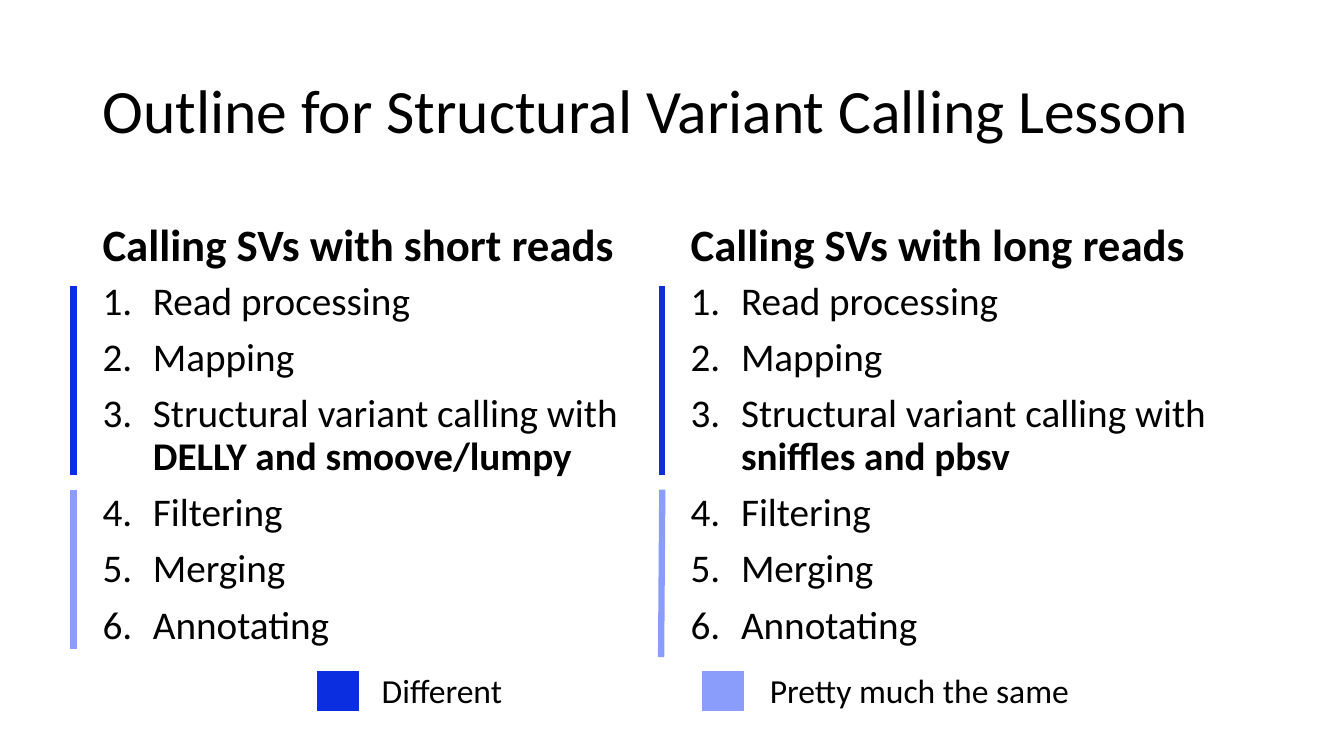
"""Build the outline slide comparing short-read and long-read variant calling."""
from dataclasses import dataclass

from lxml.etree import SubElement
from pptx import Presentation
from pptx.dml.color import RGBColor
from pptx.enum.shapes import MSO_CONNECTOR as CONN, MSO_SHAPE as SHAPE
from pptx.enum.text import MSO_ANCHOR as ANCHOR, MSO_AUTO_SIZE as FIT, PP_ALIGN as ALIGN
from pptx.oxml.ns import qn
from pptx.shapes.placeholder import SlidePlaceholder
from pptx.slide import Slide
from pptx.text.text import TextFrame, _Paragraph as Paragraph
from pptx.util import Cm, Pt

COLORS = {"text": "000000", "different": "0A2EE0", "same": "8A9DFA"}
FONT = "Calibri"
HEAD_TOP, HEAD_H = 4.67, 2.29
LIST_TOP, LIST_H = 6.96, 10.24
INDENT = 1.27
LEGEND_TOP = 16.76


@dataclass(frozen=True)
class Bar:
    color: str
    x1: float
    y1: float
    x2: float
    y2: float


@dataclass(frozen=True)
class Column:
    head_idx: int
    left: float
    width: float
    head: str
    tools: str


@dataclass(frozen=True)
class Key:
    color: str
    left: float
    text_left: float
    label: str


COLUMNS = [
    Column(1, 2.33, 14.33, "Calling SVs with short reads", "DELLY and smoove/lumpy"),
    Column(3, 17.15, 14.4, "Calling SVs with long reads", "sniffles and pbsv"),
]
BARS = [
    Bar("different", 1.85, 7.21, 1.85, 11.96),
    Bar("same", 1.85, 12.34, 1.85, 16.36),
    Bar("different", 16.69, 7.21, 16.69, 11.96),
    Bar("same", 16.69, 12.34, 16.66, 16.56),
]
KEYS = [
    Key("different", 8, 9.37, "Different"),
    Key("same", 17.7, 19.15, "Pretty much the same"),
]


def rgb(name: str) -> RGBColor:
    return RGBColor.from_string(COLORS[name])


def add_run(p: Paragraph, text: str, size: float, bold: bool = False) -> None:
    r = p.add_run()
    r.text = text
    r.font.name = FONT
    r.font.size = Pt(size)
    r.font.bold = bold
    r.font.color.rgb = rgb("text")


def place(sp: SlidePlaceholder, left: float, top: float, width: float, height: float,
          anchor: ANCHOR) -> TextFrame:
    sp.left, sp.top, sp.width, sp.height = Cm(left), Cm(top), Cm(width), Cm(height)
    tf = sp.text_frame
    tf.word_wrap = True
    tf.auto_size = FIT.NONE
    tf.vertical_anchor = anchor
    return tf


def format_paragraph(p: Paragraph, before: float) -> None:
    p.alignment = ALIGN.LEFT
    p.line_spacing = 0.9
    p.space_before = Pt(before)


def number(p: Paragraph) -> None:
    pPr = p._p.get_or_add_pPr()
    pPr.set("marL", str(Cm(INDENT)))
    pPr.set("indent", str(-Cm(INDENT)))
    SubElement(pPr, qn("a:buFont"), typeface="+mj-lt")
    SubElement(pPr, qn("a:buAutoNum"), type="arabicPeriod")


def add_title(s: Slide, text: str) -> None:
    p = place(s.shapes.title, 2.33, 1.02, 29.21, 3.68, ANCHOR.MIDDLE).paragraphs[0]
    format_paragraph(p, 0)
    add_run(p, text, 44)


def add_column(s: Slide, col: Column) -> None:
    holders = {sp.placeholder_format.idx: sp for sp in s.placeholders}
    tf = place(holders[col.head_idx], col.left, HEAD_TOP, col.width, HEAD_H, ANCHOR.BOTTOM)
    format_paragraph(tf.paragraphs[0], 10)
    add_run(tf.paragraphs[0], col.head, 32, True)

    tf = place(holders[col.head_idx + 1], col.left, LIST_TOP, col.width, LIST_H, ANCHOR.TOP)
    steps = [("Read processing", ""), ("Mapping", ""),
             ("Structural variant calling with ", col.tools),
             ("Filtering", ""), ("Merging", ""), ("Annotating", "")]
    for i, (step, tools) in enumerate(steps):
        p = tf.add_paragraph() if i else tf.paragraphs[0]
        format_paragraph(p, 10)
        number(p)
        add_run(p, step, 28)
        if tools:
            add_run(p, tools, 28, True)


def add_bar(s: Slide, bar: Bar) -> None:
    line = s.shapes.add_connector(CONN.STRAIGHT, Cm(bar.x1), Cm(bar.y1), Cm(bar.x2), Cm(bar.y2))
    line.line.color.rgb = rgb(bar.color)
    line.line.width = Pt(4.5)
    SubElement(line._element.spPr, qn("a:effectLst"))


def add_key(s: Slide, key: Key) -> None:
    sp = s.shapes.add_shape(SHAPE.RECTANGLE, Cm(key.left), Cm(16.92), Cm(1.04), Cm(0.99))
    sp.shadow.inherit = False
    sp.fill.solid()
    sp.fill.fore_color.rgb = rgb(key.color)
    sp.line.color.rgb = rgb(key.color)
    sp.line.width = Pt(1)
    tf = s.shapes.add_textbox(Cm(key.text_left), Cm(LEGEND_TOP), Cm(10.36), Cm(1.27)).text_frame
    tf.word_wrap = True
    tf.auto_size = FIT.SHAPE_TO_FIT_TEXT
    add_run(tf.paragraphs[0], key.label, 24)


def main() -> None:
    prs = Presentation()
    prs.slide_width, prs.slide_height = Cm(33.87), Cm(19.05)
    s = prs.slides.add_slide(prs.slide_layouts.get_by_name("Comparison"))
    add_title(s, "Outline for Structural Variant Calling Lesson")
    for col in COLUMNS:
        add_column(s, col)
    for bar in BARS:
        add_bar(s, bar)
    for key in KEYS:
        add_key(s, key)
    prs.save("out.pptx")


if __name__ == "__main__":
    main()
